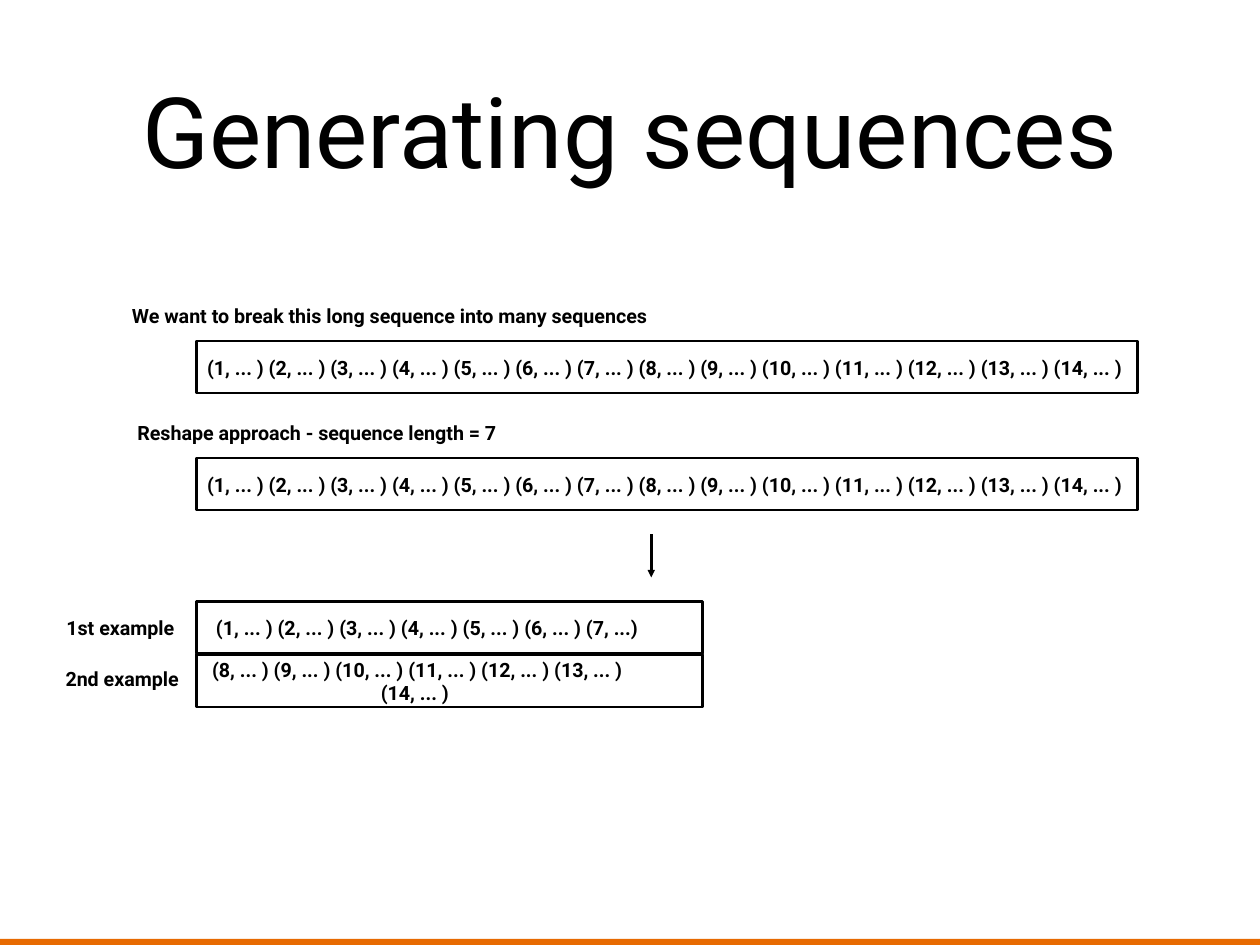
from lxml import etree
from pptx import Presentation
from pptx.dml.color import RGBColor
from pptx.enum.shapes import MSO_CONNECTOR as CONNECTOR, MSO_SHAPE as SHAPE
from pptx.enum.text import MSO_ANCHOR as ANCHOR, PP_ALIGN as ALIGN
from pptx.oxml.ns import qn
from pptx.util import Inches, Pt

COLORS = {"ink": "000000", "footer": "E76A01"}
INK = RGBColor.from_string(COLORS["ink"])
BOX_LEFT, BOX_HEIGHT = 2.22, 0.59
LONG_WIDTH, SHORT_WIDTH = 10.62, 5.71

presentation = Presentation()
presentation.slide_width = Inches(14.22)
presentation.slide_height = Inches(10.67)
slide = presentation.slides.add_slide(presentation.slide_layouts[6])


def add_rectangle(left, top, width, height):
    shape = slide.shapes.add_shape(
        SHAPE.RECTANGLE, Inches(left), Inches(top), Inches(width), Inches(height))
    shape.shadow.inherit = False
    return shape


def add_text(text, left, top, width, height=0.38, size=16, bold=True, align=ALIGN.CENTER):
    frame = slide.shapes.add_textbox(
        Inches(left), Inches(top), Inches(width), Inches(height)).text_frame
    frame_format = {"word_wrap": True, "vertical_anchor": ANCHOR.MIDDLE}
    for side in ("left", "top", "right", "bottom"):
        frame_format[f"margin_{side}"] = Inches(0.06)
    for name, value in frame_format.items():
        setattr(frame, name, value)
    paragraph = frame.paragraphs[0]
    paragraph.alignment = align
    run = paragraph.add_run()
    run.text = text
    for name, value in {"name": "Roboto", "size": Pt(size), "bold": bold}.items():
        setattr(run.font, name, value)
    run.font.color.rgb = INK


# Footer bar and title
footer = add_rectangle(0, 10.6, 14.22, 0.07)
footer.fill.solid()
footer.fill.fore_color.rgb = RGBColor.from_string(COLORS["footer"])
footer.line.fill.background()
add_text("Generating sequences", 1.04, 0.28, 12.14, 2.36, size=80, bold=False)

# Outlined boxes: two long sequences, then the two examples
for top, width in [(3.85, LONG_WIDTH), (5.17, LONG_WIDTH),
                   (6.79, SHORT_WIDTH), (7.39, SHORT_WIDTH)]:
    box = add_rectangle(BOX_LEFT, top, width, BOX_HEIGHT)
    box.fill.background()
    box.line.color.rgb = INK
    box.line.width = Pt(2)

# Sequences inside the boxes
steps = [f"({number}, ... ) " for number in range(1, 15)]
for top in (3.96, 5.28):
    add_text("".join(steps), BOX_LEFT, top, LONG_WIDTH)
add_text("".join(steps[:6]) + "(7, ...)", 2.32, 6.9, 5)
add_text("".join(steps[7:]), 2.21, 7.5, 5)

# Captions and row labels
for text, left, top, width in [
    ("We want to break this long sequence into many sequences", 1.43, 3.37, 6.34),
    ("Reshape approach - sequence length = 7", 1.49, 4.69, 4.47),
    ("1st example", 0.69, 6.9, 1.4),
    ("2nd example", 0.68, 7.47, 1.47),
]:
    add_text(text, left, top, width, align=ALIGN.LEFT)

# Arrow from the long sequence to the examples
arrow = slide.shapes.add_connector(
    CONNECTOR.STRAIGHT, Inches(7.35), Inches(6.03), Inches(7.35), Inches(6.52))
arrow.line.color.rgb = INK
arrow.line.width = Pt(2)
etree.SubElement(arrow.line._get_or_add_ln(), qn("a:tailEnd"), type="triangle")
etree.SubElement(arrow._element.spPr, qn("a:effectLst"))

presentation.save("out.pptx")
